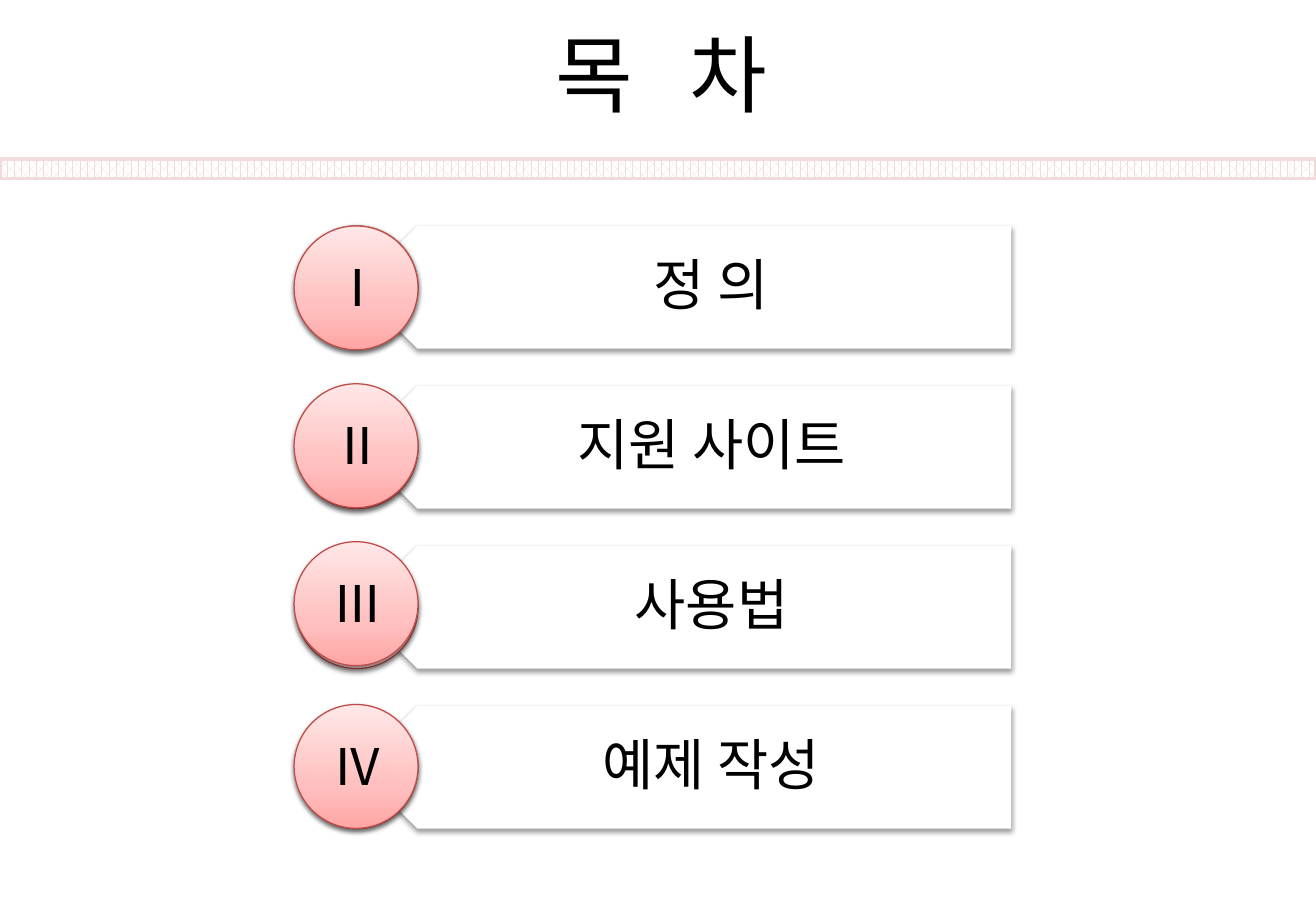
from copy import deepcopy
from dataclasses import dataclass
from typing import Any

from lxml.etree import SubElement
from pptx import Presentation
from pptx.dml.color import RGBColor
from pptx.enum.dml import MSO_PATTERN
from pptx.enum.shapes import MSO_SHAPE
from pptx.enum.text import MSO_ANCHOR, MSO_AUTO_SIZE, PP_ALIGN
from pptx.oxml.ns import qn
from pptx.util import Inches, Pt


@dataclass(frozen=True)
class Theme:
    font: str = "Noto Sans CJK KR"
    text: str = "000000"
    white: str = "FFFFFF"
    pale_pink: str = "F2DCDB"
    base_fill: str = "E8D0D0"
    base_line: str = "AE4946"
    badge_line: str = "BF4C48"
    badge_stops: tuple = ((0, "FFA6A5"), (0.35, "FFC0BF"), (1, "FFE7E7"))
    title_size: float = 50
    entry_size: float = 33
    numeral_size: float = 30


@dataclass(frozen=True)
class Entry:
    numeral: str
    topic: str
    badge_top: float


@dataclass(frozen=True)
class Box:
    left: float
    top: float
    width: float
    height: float

    def lengths(self) -> tuple:
        return tuple(map(Inches, (self.left, self.top, self.width, self.height)))


THEME = Theme()
SLIDE_WIDTH, SLIDE_HEIGHT = 10.83, 7.5
FIRST_ROW, ROW_PITCH, ROW_HEIGHT = 1.86, 1.317, 1.01
ENTRIES = (
    Entry("Ⅰ", "정 의", 1.86),
    Entry("Ⅱ", "지원 사이트", 3.16),
    Entry("Ⅲ", "사용법", 4.46),
    Entry("Ⅳ", "예제 작성", 5.8),
)


def rgb(value: str) -> RGBColor:
    return RGBColor.from_string(value)


def set_values(target: Any, values: dict) -> None:
    for name, value in values.items():
        setattr(target, name, value)


def add_run(paragraph: Any, words: str, size: float) -> Any:
    run = paragraph.add_run()
    run.text = words
    set_values(run.font, {"name": THEME.font, "size": Pt(size), "bold": False})
    run.font.color.rgb = rgb(THEME.text)
    SubElement(run.font._element, qn("a:ea"), typeface=THEME.font)
    return run


def add_shape(slide: Any, kind: MSO_SHAPE, box: Box) -> Any:
    shape = slide.shapes.add_shape(kind, *box.lengths())
    shape.shadow.inherit = False
    return shape


def set_line(shape: Any, color: str, width: float) -> None:
    shape.line.color.rgb = rgb(color)
    shape.line.width = Pt(width)


def add_drop_shadow(shape: Any) -> None:
    effects = shape._element.spPr.find(qn("a:effectLst"))
    shadow = SubElement(effects, qn("a:outerShdw"), blurRad=str(Pt(3.1)),
                        dist=str(Pt(1.6)), dir="5400000", rotWithShape="0")
    color = SubElement(shadow, qn("a:srgbClr"), val=THEME.text)
    SubElement(color, qn("a:alpha"), val="38000")


def fill_badge(shape: Any) -> None:
    """Fill with the three-stop gradient, light at the top."""
    shape.fill.gradient()
    shape.fill.gradient_angle = 90
    stop_list = shape._element.spPr.find(qn("a:gradFill")).find(qn("a:gsLst"))
    stop_list.append(deepcopy(stop_list[-1]))
    for stop, (position, color) in zip(shape.fill.gradient_stops, THEME.badge_stops):
        stop.position = position
        stop.color.rgb = rgb(color)


def add_label(slide: Any, box: Box, words: str, size: float,
              frame_values: dict, paragraph_values: dict) -> None:
    frame = slide.shapes.add_textbox(*box.lengths()).text_frame
    set_values(frame, {"word_wrap": True, **frame_values})
    paragraph = frame.paragraphs[0]
    set_values(paragraph, paragraph_values)
    add_run(paragraph, words, size)


def add_title(slide: Any) -> None:
    title = slide.shapes.title
    left, top, width, height = Box(4.47, 0.13, 2.35, 0.94).lengths()
    set_values(title, {"left": left, "top": top, "width": width, "height": height})
    set_values(title.text_frame, {"word_wrap": False, "auto_size": MSO_AUTO_SIZE.NONE,
                                  "vertical_anchor": MSO_ANCHOR.TOP})
    paragraph = title.text_frame.paragraphs[0]
    paragraph.alignment = PP_ALIGN.LEFT
    add_run(paragraph, "목", THEME.title_size)
    gap = add_run(paragraph, " ", THEME.title_size)
    gap.font._element.set("spc", "2240")
    add_run(paragraph, "차", THEME.title_size)


def add_divider(slide: Any) -> None:
    divider = add_shape(slide, MSO_SHAPE.RECTANGLE, Box(0, 1.31, SLIDE_WIDTH, 0.16))
    divider.fill.patterned()
    divider.fill.pattern = MSO_PATTERN.PERCENT_60
    divider.fill.fore_color.rgb = rgb(THEME.pale_pink)
    divider.fill.back_color.rgb = rgb(THEME.white)
    set_line(divider, THEME.pale_pink, 2)


def add_entry(slide: Any, entry: Entry, top: float) -> None:
    banner = add_shape(slide, MSO_SHAPE.PENTAGON, Box(2.93, top, 5.39, ROW_HEIGHT))
    banner.rotation = 180
    banner.fill.solid()
    banner.fill.fore_color.rgb = rgb(THEME.white)
    banner.line.fill.background()

    add_label(slide, Box(3.19, top, 5.14, ROW_HEIGHT), entry.topic, THEME.entry_size,
              {"vertical_anchor": MSO_ANCHOR.MIDDLE,
               "margin_left": Inches(0.45), "margin_right": Inches(0.26),
               "margin_top": Inches(0.14), "margin_bottom": Inches(0.14)},
              {"alignment": PP_ALIGN.CENTER, "line_spacing": 0.9})

    base = add_shape(slide, MSO_SHAPE.OVAL, Box(2.43, top, ROW_HEIGHT, ROW_HEIGHT))
    base.fill.solid()
    base.fill.fore_color.rgb = rgb(THEME.base_fill)
    set_line(base, THEME.base_line, 0.75)

    badge = add_shape(slide, MSO_SHAPE.OVAL, Box(2.42, entry.badge_top, 1.02, 1.02))
    fill_badge(badge)
    set_line(badge, THEME.badge_line, 0.75)
    for raised in (banner, base, badge):
        add_drop_shadow(raised)

    add_label(slide, Box(2.64, entry.badge_top + 0.2, 0.49, 0.62), entry.numeral,
              THEME.numeral_size, {}, {})


def main() -> None:
    presentation = Presentation()
    set_values(presentation, {"slide_width": Inches(SLIDE_WIDTH),
                              "slide_height": Inches(SLIDE_HEIGHT)})
    slide = presentation.slides.add_slide(presentation.slide_layouts[5])
    add_title(slide)
    add_divider(slide)
    for row, entry in enumerate(ENTRIES):
        add_entry(slide, entry, FIRST_ROW + row * ROW_PITCH)
    presentation.save("out.pptx")


if __name__ == "__main__":
    main()
